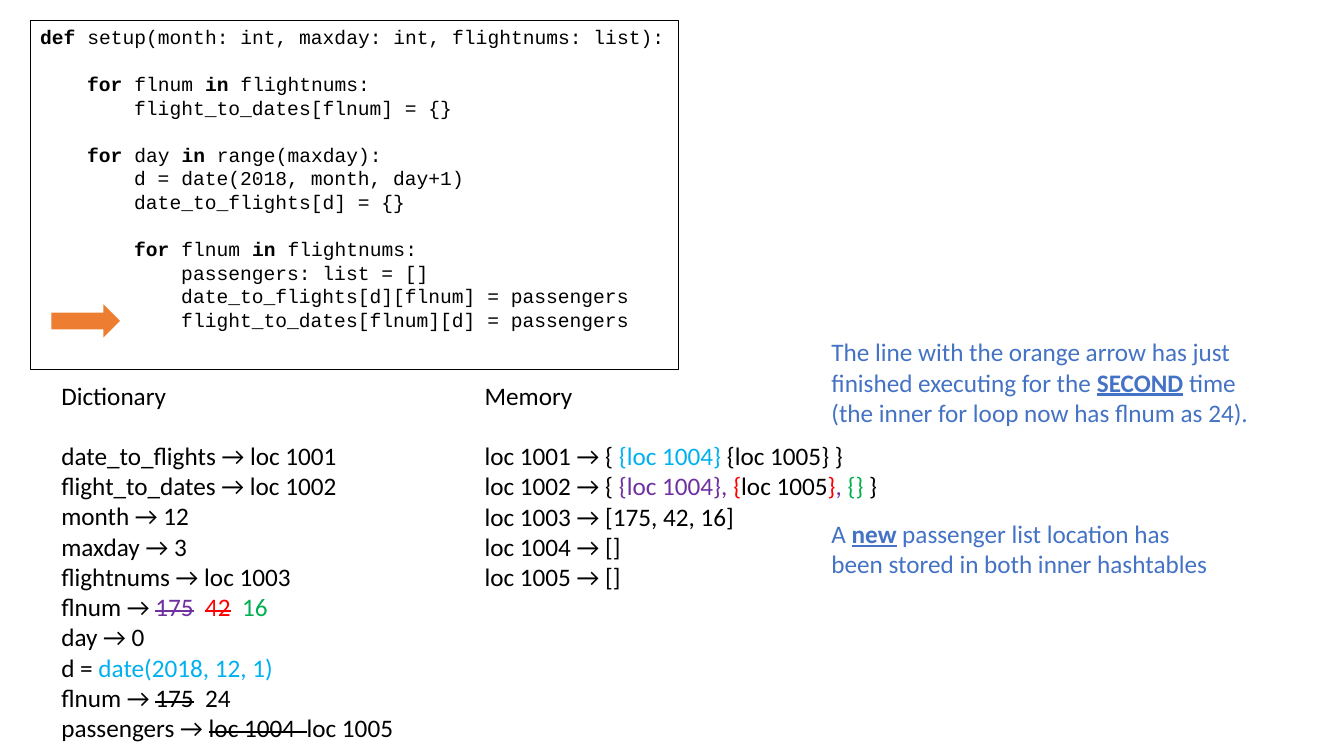
from pptx import Presentation
from pptx.dml.color import RGBColor
from pptx.enum import shapes, text
from pptx.util import Pt

BLACK, BLUE, ORANGE = "000000", "4472C4", "ED7D31"
PURPLE, RED, GREEN, CYAN = "7030A0", "FF0000", "00B050", "00B0F0"
BOLD, STRIKE, EMPHASIS = "b", "s", "bu"

# Each line: blank lines above, indent level, then (text, colour, marks) spans.
CODE = [
    (0, 0, [("def ", BLACK, BOLD), ("setup(month: int, maxday: int, flightnums: list):", BLACK, "")]),
    (1, 1, [("for ", BLACK, BOLD), ("flnum ", BLACK, ""), ("in ", BLACK, BOLD), ("flightnums:", BLACK, "")]),
    (0, 2, [("flight_to_dates[flnum] = {}", BLACK, "")]),
    (1, 1, [("for ", BLACK, BOLD), ("day ", BLACK, ""), ("in ", BLACK, BOLD), ("range(maxday):", BLACK, "")]),
    (0, 2, [("d = date(2018, month, day+1)", BLACK, "")]),
    (0, 2, [("date_to_flights[d] = {}", BLACK, "")]),
    (1, 2, [("for ", BLACK, BOLD), ("flnum ", BLACK, ""), ("in ", BLACK, BOLD), ("flightnums:", BLACK, "")]),
    (0, 3, [("passengers: list = []", BLACK, "")]),
    (0, 3, [("date_to_flights[d][flnum] = passengers", BLACK, "")]),
    (0, 3, [("flight_to_dates[flnum][d] = passengers", BLACK, "")]),
]
DICTIONARY = [
    (0, 0, [("Dictionary", BLACK, "")]),
    (1, 0, [("date_to_flights → loc 1001", BLACK, "")]),
    (0, 0, [("flight_to_dates → loc 1002", BLACK, "")]),
    (0, 0, [("month → 12", BLACK, "")]),
    (0, 0, [("maxday → 3", BLACK, "")]),
    (0, 0, [("flightnums → loc 1003", BLACK, "")]),
    (0, 0, [("flnum → ", BLACK, ""), ("175", PURPLE, STRIKE), ("  ", PURPLE, ""),
            ("42", RED, STRIKE), ("  ", PURPLE, ""), ("16", GREEN, "")]),
    (0, 0, [("day → 0", BLACK, "")]),
    (0, 0, [("d = ", BLACK, ""), ("date(2018, 12, 1)", CYAN, "")]),
    (0, 0, [("flnum → ", BLACK, ""), ("175", BLACK, STRIKE), ("  24", BLACK, "")]),
    (0, 0, [("passengers → ", BLACK, ""), ("loc 1004  ", BLACK, STRIKE), ("loc 1005", BLACK, "")]),
]
MEMORY = [
    (0, 0, [("Memory", BLACK, "")]),
    (1, 0, [("loc 1001 → { ", BLACK, ""), ("{loc 1004}", CYAN, ""), (" {loc 1005} }", BLACK, "")]),
    (0, 0, [("loc 1002 → { ", BLACK, ""), ("{loc 1004}, ", PURPLE, ""), ("{", RED, ""),
            ("loc 1005", BLACK, ""), ("}", RED, ""), (", ", PURPLE, ""), ("{}", GREEN, ""),
            (" }", BLACK, "")]),
    (0, 0, [("loc 1003 → [175, 42, 16]", BLACK, "")]),
    (0, 0, [("loc 1004 → []", BLACK, "")]),
    (0, 0, [("loc 1005 → []", BLACK, "")]),
]
REMARKS = [
    (0, 0, [("The line with the orange arrow has just", BLUE, "")]),
    (0, 0, [("finished executing for the ", BLUE, ""), ("SECOND", BLUE, EMPHASIS), (" time", BLUE, "")]),
    (0, 0, [("(the inner for loop now has flnum as 24).", BLUE, "")]),
    (3, 0, [("A ", BLUE, ""), ("new", BLUE, EMPHASIS), (" passenger list location has", BLUE, "")]),
    (0, 0, [("been stored in both inner hashtables", BLUE, "")]),
]
PANELS = [
    (DICTIONARY, (36.7, 267.8, 255.6, 269.3), "Calibri", 18),
    (MEMORY, (339.1, 267.8, 299.5, 159.8), "Calibri", 18),
    (CODE, (21.6, 14.4, 463, 249.8), "Courier New", 14),
    (REMARKS, (586.8, 236.9, 320.4, 181.4), "Calibri", 18),
]
ARROW = (36.7, 217.4, 49, 23.8)
LINE_PITCH = 1.2
INDENT_PITCH = 4 * 0.6


def color(value):
    return RGBColor.from_string(value)


def add_panel(page, lines, place, font, size):
    box = page.shapes.add_textbox(*map(Pt, place))
    frame = box.text_frame
    frame.word_wrap = True
    frame.vertical_anchor = text.MSO_ANCHOR.TOP
    for index, (gap, level, spans) in enumerate(lines):
        para = frame.add_paragraph() if index else frame.paragraphs[0]
        para.space_before = Pt(gap * size * LINE_PITCH)
        properties = para._p.get_or_add_pPr()
        properties.set("marL", str(Pt(level * size * INDENT_PITCH)))
        properties.set("indent", "0")
        for words, tint, marks in spans:
            span = para.add_run()
            span.text = words
            span.font.name = font
            span.font.size = Pt(size)
            span.font.color.rgb = color(tint)
            span.font.bold = "b" in marks
            span.font.underline = "u" in marks
            if "s" in marks:
                span.font._element.set("strike", "sngStrike")
    return box


def main():
    deck = Presentation()
    deck.slide_width, deck.slide_height = Pt(960), Pt(540)
    page = deck.slides.add_slide(deck.slide_layouts[6])
    for lines, place, font, size in PANELS:
        box = add_panel(page, lines, place, font, size)
        if lines is CODE:
            box.line.color.rgb = color(BLACK)
            box.line.width = Pt(0.75)
    arrow = page.shapes.add_shape(shapes.MSO_SHAPE.RIGHT_ARROW, *map(Pt, ARROW))
    arrow.shadow.inherit = False
    arrow.fill.solid()
    arrow.fill.fore_color.rgb = color(ORANGE)
    arrow.line.fill.background()
    deck.save("out.pptx")


if __name__ == "__main__":
    main()
